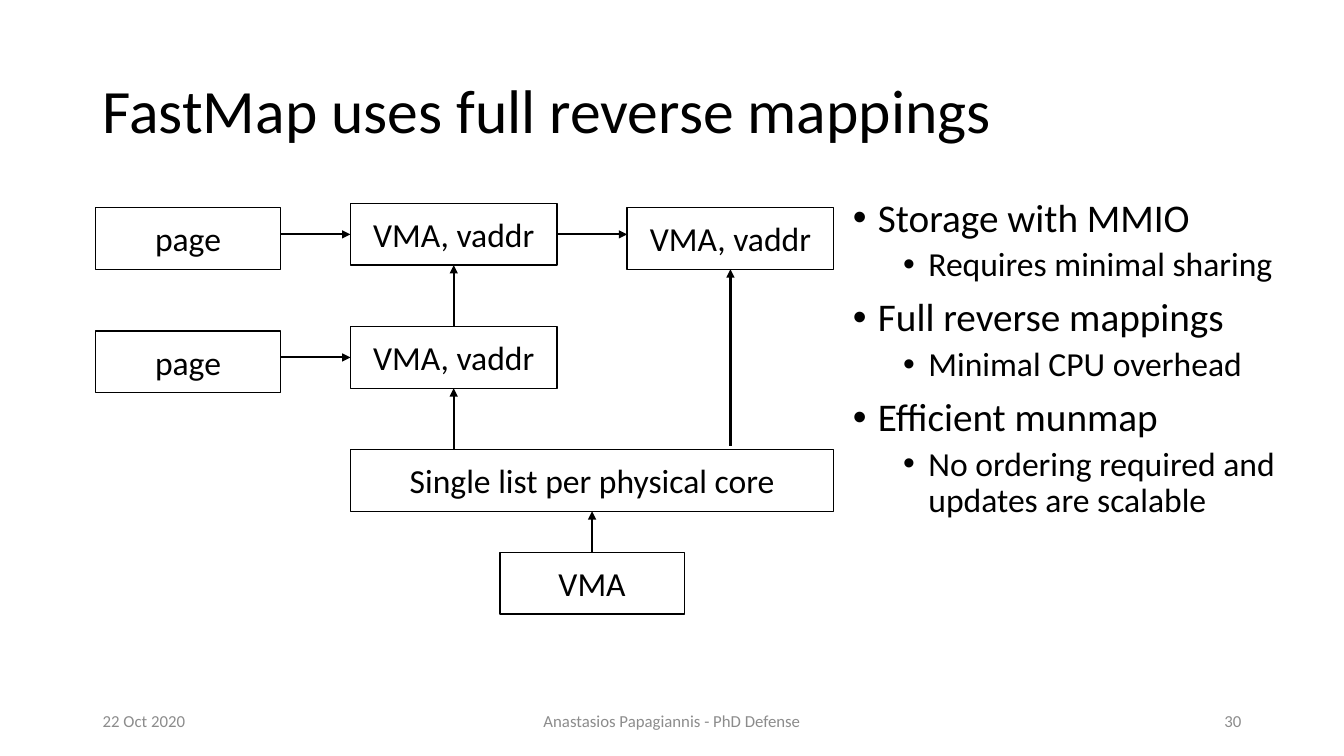
from lxml.etree import SubElement
from pptx import Presentation
from pptx.dml.color import RGBColor
from pptx.enum.shapes import MSO_CONNECTOR, MSO_SHAPE
from pptx.enum.text import MSO_ANCHOR, PP_ALIGN
from pptx.oxml.ns import qn
from pptx.util import Inches, Pt

WIDTH, HEIGHT = 13.33, 7.5
FONT = "Calibri"
TOP, LEFT, BOTTOM, RIGHT = range(4)


def color(hex_string):
    """Turn a hex string into a colour."""
    return RGBColor.from_string(hex_string)


def style(p, size, hex_string="000000", align=PP_ALIGN.LEFT):
    """Format a paragraph and its runs."""
    p.alignment = align
    for r in p.runs:
        r.font.name = FONT
        r.font.size = Pt(size)
        r.font.color.rgb = color(hex_string)


def add_text(s, box, text="", size=12, hex_string="000000", align=PP_ALIGN.LEFT,
             anchor=MSO_ANCHOR.MIDDLE):
    """Add a wrapping text box and return its text frame."""
    tf = s.shapes.add_textbox(*map(Inches, box)).text_frame
    tf.word_wrap = True
    tf.vertical_anchor = anchor
    tf.text = text
    style(tf.paragraphs[0], size, hex_string, align)
    return tf


def add_node(s, box, text):
    """Add an outlined rectangle with a centred label."""
    sp = s.shapes.add_shape(MSO_SHAPE.RECTANGLE, *map(Inches, box))
    sp.shadow.inherit = False
    sp.fill.solid()
    sp.fill.fore_color.rgb = color("FFFFFF")
    sp.line.color.rgb = color("000000")
    sp.line.width = Pt(1)
    tf = sp.text_frame
    tf.text = text
    tf.vertical_anchor = MSO_ANCHOR.MIDDLE
    style(tf.paragraphs[0], 24, align=PP_ALIGN.CENTER)
    return sp


def side_middle(sp, side):
    """Return the middle of one side of a rectangle."""
    return (sp.left + sp.width * (0, 0, 1, 2)[side] // 2 if side in (LEFT, RIGHT)
            else sp.left + sp.width // 2,
            sp.top + sp.height * (0, 1, 2, 1)[side] // 2)


def add_arrow(s, start, end, free_start=None, free_end=None):
    """Draw a straight arrow between joined sides or free points."""
    begin_xy = free_start or side_middle(*start)
    end_xy = free_end or side_middle(*end)
    line = s.shapes.add_connector(MSO_CONNECTOR.STRAIGHT, *begin_xy, *end_xy)
    if start:
        line.begin_connect(*start)
    if end:
        line.end_connect(*end)
    line.line.color.rgb = color("000000")
    line.line.width = Pt(1.5)
    SubElement(line.line._get_or_add_ln(), qn("a:tailEnd"), type="triangle")
    SubElement(line._element.spPr, qn("a:effectLst"))


def add_diagram(s, box):
    """Draw pages, their mappings and the per-core list on a grid."""
    left, top, width, height = box
    page_w, vma_w, row_h = width * 0.25, width * 0.28, height * 0.15
    gap = (width - page_w - 2 * vma_w) / 2
    columns = left, left + page_w + gap, left + width - vma_w
    rows = [top + height * share for share in (0, 0.3, 0.6, 0.85)]
    drop = height * 0.01
    list_w = width - page_w - gap

    pages = [add_node(s, (columns[0], y + drop, page_w, row_h), "page") for y in rows[:2]]
    mappings = [add_node(s, (columns[1], y, vma_w, row_h), "VMA, vaddr") for y in rows[:2]]
    shared = add_node(s, (columns[2], rows[0] + drop, vma_w, row_h), "VMA, vaddr")
    core_list = add_node(s, (columns[1], rows[2], list_w, row_h),
                         "Single list per physical core")
    vma = add_node(s, (columns[1] + (list_w - page_w) / 2, rows[3], page_w, row_h), "VMA")

    for page, mapping in zip(pages, mappings):
        y = side_middle(mapping, LEFT)[1]
        add_arrow(s, None, (mapping, LEFT), free_start=(page.left + page.width, y))
    y = side_middle(mappings[0], RIGHT)[1]
    add_arrow(s, (mappings[0], RIGHT), None, free_end=(shared.left, y))
    add_arrow(s, (vma, TOP), (core_list, BOTTOM))
    add_arrow(s, (mappings[1], TOP), (mappings[0], BOTTOM))
    for target, lift in ((mappings[1], 0), (shared, Inches(drop))):
        x = side_middle(target, BOTTOM)[0]
        add_arrow(s, None, (target, BOTTOM), free_start=(x, core_list.top - lift))


def add_bullets(s, box, points):
    """Write each point with its detail as a two-level bulleted list."""
    tf = add_text(s, box, anchor=MSO_ANCHOR.TOP)
    items = [(text, level) for pair in points for level, text in enumerate(pair)]
    tf.text = "\n".join(text for text, _ in items)
    for p, (_, level) in zip(tf.paragraphs, items):
        style(p, (28, 24)[level])
        p.level = level
        p.line_spacing = 0.9
        p.space_before = Pt((10, 5)[level])
        pPr = p._p.get_or_add_pPr()
        pPr.set("marL", str(Inches((0.25, 0.75)[level])))
        pPr.set("indent", str(Inches(-0.25)))
        SubElement(pPr, qn("a:buFont"), typeface="Arial")
        SubElement(pPr, qn("a:buChar"), char="•")


def add_footer(s, box, texts):
    """Place date, author and slide number along the bottom."""
    left, top, width, height = box
    side_w, middle_w = 3, 4.5
    places = ((left, side_w, PP_ALIGN.LEFT),
              (left + (width - middle_w) / 2, middle_w, PP_ALIGN.CENTER),
              (left + width - side_w, side_w, PP_ALIGN.RIGHT))
    for text, (x, w, align) in zip(texts, places):
        add_text(s, (x, top, w, height), text, 12, "8C8C8C", align)


def main():
    """Build and save the slide."""
    prs = Presentation()
    prs.slide_width, prs.slide_height = Inches(WIDTH), Inches(HEIGHT)
    s = prs.slides.add_slide(prs.slide_layouts[6])
    margin = 0.92
    content_w = WIDTH - 2 * margin
    title = add_text(s, (margin, 0.4, content_w, 1.45),
                     "FastMap uses full reverse mappings", 44)
    title.paragraphs[0].line_spacing = 0.9
    add_diagram(s, (0.95, 2.02, 7.32, 4.07))
    add_bullets(s, (8.36, 1.92, 4.6, 4.46), (
        ("Storage with MMIO", "Requires minimal sharing"),
        ("Full reverse mappings", "Minimal CPU overhead"),
        ("Efficient munmap", "No ordering required and updates are scalable"),
    ))
    add_footer(s, (margin, 6.95, content_w, 0.4),
               ("22 Oct 2020", "Anastasios Papagiannis - PhD Defense", "30"))
    prs.save("out.pptx")


if __name__ == "__main__":
    main()
